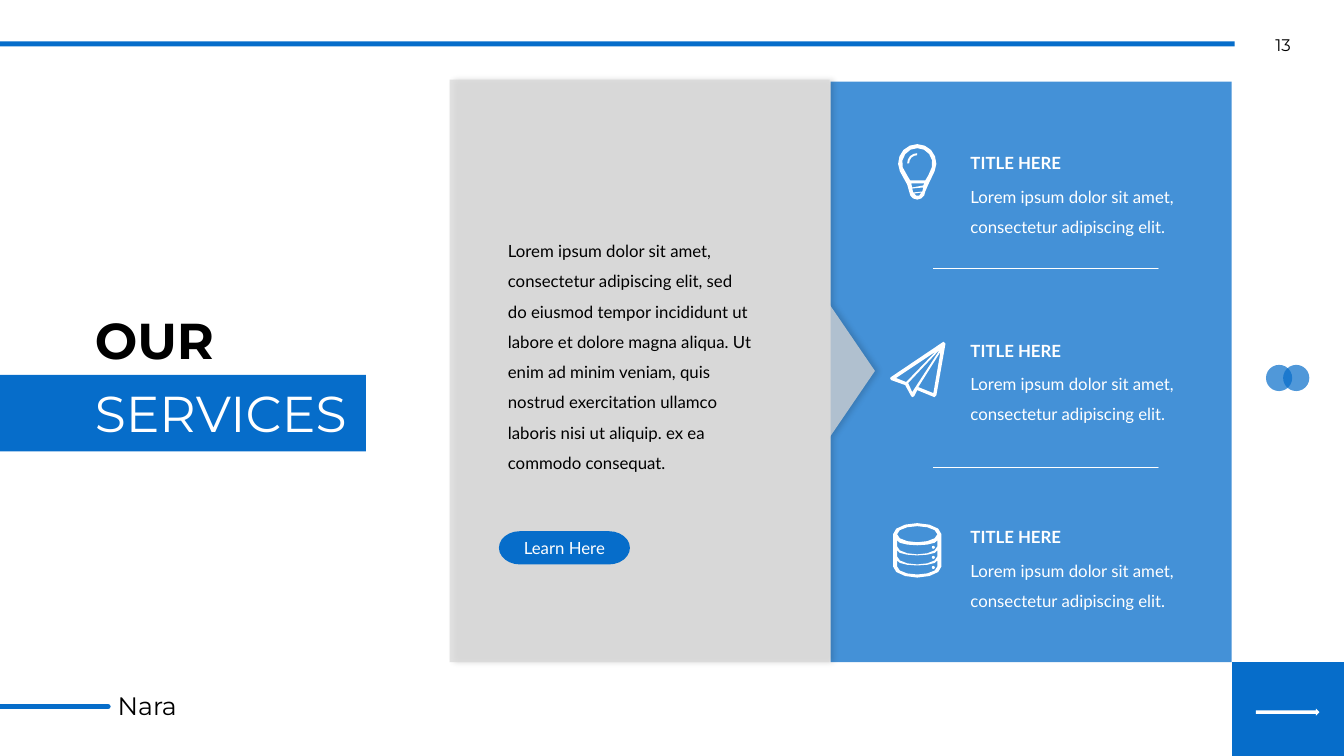
from dataclasses import dataclass
from math import cos, radians, sin

from lxml.etree import SubElement
from pptx import Presentation
from pptx.dml.color import RGBColor
from pptx.enum.shapes import MSO_CONNECTOR, MSO_SHAPE
from pptx.enum.text import MSO_ANCHOR, MSO_AUTO_SIZE, PP_ALIGN
from pptx.oxml.ns import qn
from pptx.util import Inches, Pt


@dataclass(frozen=True)
class Theme:
    blue: str = "066DCA"
    grey: str = "D8D8D8"
    white: str = "FFFFFF"
    black: str = "000000"
    heading: str = "Montserrat"
    body: str = "Lato"
    title_size: int = 36
    name_size: int = 18
    text_size: int = 12


theme = Theme()


def paint(shape, color, opacity=100):
    """Give a shape a plain fill without line or shadow."""
    shape.shadow.inherit = False
    shape.line.fill.background()
    shape.fill.solid()
    shape.fill.fore_color.rgb = RGBColor.from_string(color)
    if opacity < 100:
        tint = shape.element.spPr.find(qn("a:solidFill"))[0]
        SubElement(tint, qn("a:alpha"), val=str(opacity * 1000))


def arc(x, y, radius_x, radius_y, start, end, steps=6):
    """Points of an elliptical arc; angles run clockwise from the right."""
    angles = [radians(start + (end - start) * i / steps) for i in range(steps + 1)]
    return [(x + radius_x * cos(a), y + radius_y * sin(a)) for a in angles]


# The slide lies on a grid of one-inch cells, 16 by 9 in shape
cell = Inches(1)
deck = Presentation()
deck.slide_height = round(7.5 * cell)
deck.slide_width = deck.slide_height * 16 // 9
page = deck.slides.add_slide(deck.slide_layouts[5])

# Solid blocks: overlapping dots, top bar, corner, feature panel, title band
blocks = [
    (MSO_SHAPE.OVAL, (12.56, 3.62, 0.26, 0.26), 70),
    (MSO_SHAPE.OVAL, (12.73, 3.62, 0.26, 0.26), 70),
    (MSO_SHAPE.RECTANGLE, (0, 0.41, 12.25, 0.05), 100),
    (MSO_SHAPE.FLOWCHART_PROCESS, (12.22, 6.57, 1.11, 0.93), 100),
    (MSO_SHAPE.RECTANGLE, (8.24, 0.81, 3.98, 5.76), 75),
    (MSO_SHAPE.RECTANGLE, (0, 3.72, 3.63, 0.76), 100),
]
for kind, place, opacity in blocks:
    block = page.shapes.add_shape(kind, *[round(n * cell) for n in place])
    paint(block, theme.blue, opacity)

# Title, lifted above the band
title = page.shapes.title
title.element.getparent().append(title.element)
title.left, title.top, title.width, title.height = [
    round(n * cell) for n in (0.84, 3.02, 3.16, 1.44)]
frame = title.text_frame
frame.auto_size = MSO_AUTO_SIZE.NONE
frame.vertical_anchor = MSO_ANCHOR.TOP
for row, (word, color) in enumerate([("OUR", theme.black), ("SERVICES", theme.white)]):
    para = frame.add_paragraph() if row else frame.paragraphs[0]
    para.alignment = PP_ALIGN.LEFT
    if row:
        para.space_before = Pt(9)
    span = para.add_run()
    span.text = word
    span.font.name = theme.heading
    span.font.size = Pt(theme.title_size)
    span.font.bold = row == 0
    span.font.color.rgb = RGBColor.from_string(color)

# Lines: name rule and feature dividers
rules = [
    (0, 1.07, 7.01, theme.blue, 4),
    (9.26, 11.49, 2.66, theme.white, 0.5),
    (9.26, 11.49, 4.64, theme.white, 0.5),
]
for start, end, height, color, weight in rules:
    rule = page.shapes.add_connector(
        MSO_CONNECTOR.STRAIGHT, *[round(n * cell) for n in (start, height, end, height)])
    rule.line.color.rgb = RGBColor.from_string(color)
    rule.line.width = Pt(weight)
    rule.get_or_add_ln().set("cap", "rnd")
    SubElement(rule.element.spPr, qn("a:effectLst"))

# Light bulb: glass and base, then the openings
bulb = [
    arc(9.1, 1.62, 0.19, 0.19, 155, 385, 10)
    + [(9.21, 1.83)] + arc(9.1, 1.9, 0.08, 0.08, 0, 180) + [(9, 1.83)],
    arc(9.1, 1.62, 0.15, 0.15, 165, 375, 8)
    + [(9.21, 1.74), (9.18, 1.79), (9.03, 1.79), (9, 1.74)],
    [(9.04, 1.82), (9.17, 1.82), (9.16, 1.84), (9.05, 1.86)],
    [(9.05, 1.87), (9.16, 1.86), (9.15, 1.9), (9.06, 1.91)],
    [(9.07, 1.92), (9.14, 1.91), (9.12, 1.94), (9.09, 1.94)],
]
shine = [arc(9.1, 1.62, 0.1, 0.1, 180, 270, 4) + arc(9.1, 1.62, 0.08, 0.08, 270, 180, 4)]

# Paper plane: outer edge, then the three folds
plane = [
    [(9.36, 3.39), (8.84, 3.74), (8.83, 3.75), (8.84, 3.77), (8.98, 3.82), (9.04, 3.93),
     (9.05, 3.94), (9.07, 3.93), (9.1, 3.87), (9.27, 3.94), (9.29, 3.92), (9.38, 3.41)],
    [(9.26, 3.9), (9.11, 3.84), (9.33, 3.49)],
    [(9.01, 3.8), (9.33, 3.46), (9.05, 3.89)],
    [(8.89, 3.75), (9.28, 3.49), (8.99, 3.79)],
]

# Database: drum, lid and three bands, each band with a dot
levels = [5.42, 5.52, 5.62]
drum = [
    arc(9.1, 5.62, 0.24, 0.11, 0, 180) + arc(9.1, 5.3, 0.24, 0.11, 180, 360),
    arc(9.1, 5.3, 0.2, 0.08, 0, 330, 11),
]
drum += [arc(9.1, y, 0.2, 0.08, 0, 180) + arc(9.1, y - 0.06, 0.2, 0.05, 180, 0)
         for y in levels]
dots = [[arc(9.26, y + 0.01, 0.03 / 2, 0.03 / 2, 0, 315, 7)] for y in levels]

# Grey panel with its pointer
pointer = [[(4.46, 0.79), (8.23, 0.79), (8.23, 3.02), (8.68, 3.68),
            (8.23, 4.34), (8.23, 6.57), (4.46, 6.57)]]

outlines = [(icon, theme.white, 100) for icon in (bulb, shine, plane, drum, *dots)]
outlines.append((pointer, theme.grey, 75))
for contours, color, opacity in outlines:
    builder = None
    for contour in contours:
        points = [(x * 1000, y * 1000) for x, y in contour]
        if builder is None:
            builder = page.shapes.build_freeform(*points[0], scale=cell / 1000)
        else:
            builder.move_to(*points[0])
        builder.add_line_segments(points[1:], close=True)
    figure = builder.convert_to_shape()
    paint(figure, color, opacity)

# Soft shadow of the grey panel, the last figure drawn
effects = figure.element.spPr.find(qn("a:effectLst"))
shadow = SubElement(effects, qn("a:outerShdw"), blurRad=str(Pt(4)), dist=str(Pt(3)),
                    dir="0", algn="l", rotWithShape="0")
shade = SubElement(shadow, qn("a:srgbClr"), val=theme.black)
SubElement(shade, qn("a:alpha"), val="20000")

# Texts: words, place, font, size, colour, bold, line spacing
body_text = (
    "Lorem ipsum dolor sit amet, consectetur adipiscing elit, sed do eiusmod tempor "
    "incididunt ut labore et dolore magna aliqua. Ut enim ad minim veniam, quis nostrud "
    "exercitation ullamco laboris nisi ut aliquip. ex ea commodo consequat.")
feature_text = "Lorem ipsum dolor sit amet, consectetur adipiscing elit."
small = theme.text_size
texts = [
    ("13", (12.39, 0.34, 0.68, 0.2), theme.heading, small, theme.black, False, 1),
    ("Nara", (1.07, 6.8, 1.67, 0.4), theme.heading, theme.name_size, theme.black, False, 1),
    (body_text, (4.94, 2.24, 2.62, 2.48), theme.body, small, theme.black, False, 1.5),
]
for top in (1.37, 3.23, 5.08):
    texts += [
        ("TITLE HERE", (9.53, top, 2.34, 0.36), theme.body, small, theme.white, True, 1.5),
        (feature_text, (9.53, top + 0.33, 2.34, 0.67), theme.body, small, theme.white,
         False, 1.5),
    ]
for words, place, font, size, color, bold, spacing in texts:
    box = page.shapes.add_textbox(*[round(n * cell) for n in place])
    frame = box.text_frame
    frame.word_wrap = True
    frame.auto_size = MSO_AUTO_SIZE.SHAPE_TO_FIT_TEXT
    para = frame.paragraphs[0]
    para.line_spacing = spacing
    if words == "13":
        frame.margin_top = frame.margin_bottom = 0
        para.alignment = PP_ALIGN.CENTER
    span = para.add_run()
    span.text = words
    span.font.name = font
    span.font.size = Pt(size)
    span.font.bold = bold
    span.font.color.rgb = RGBColor.from_string(color)

# Button
button = page.shapes.add_shape(
    MSO_SHAPE.FLOWCHART_TERMINATOR, *[round(n * cell) for n in (4.95, 5.27, 1.3, 0.33)])
paint(button, theme.blue)
button.text_frame.vertical_anchor = MSO_ANCHOR.MIDDLE
para = button.text_frame.paragraphs[0]
para.alignment = PP_ALIGN.CENTER
span = para.add_run()
span.text = "Learn Here"
span.font.name = theme.body
span.font.size = Pt(theme.text_size)
span.font.color.rgb = RGBColor.from_string(theme.white)

# Corner arrow
arrow = page.shapes.add_shape(
    MSO_SHAPE.RIGHT_ARROW, *[round(n * cell) for n in (12.46, 7.03, 0.63, 0.07)])
paint(arrow, theme.white)

deck.save("out.pptx")
